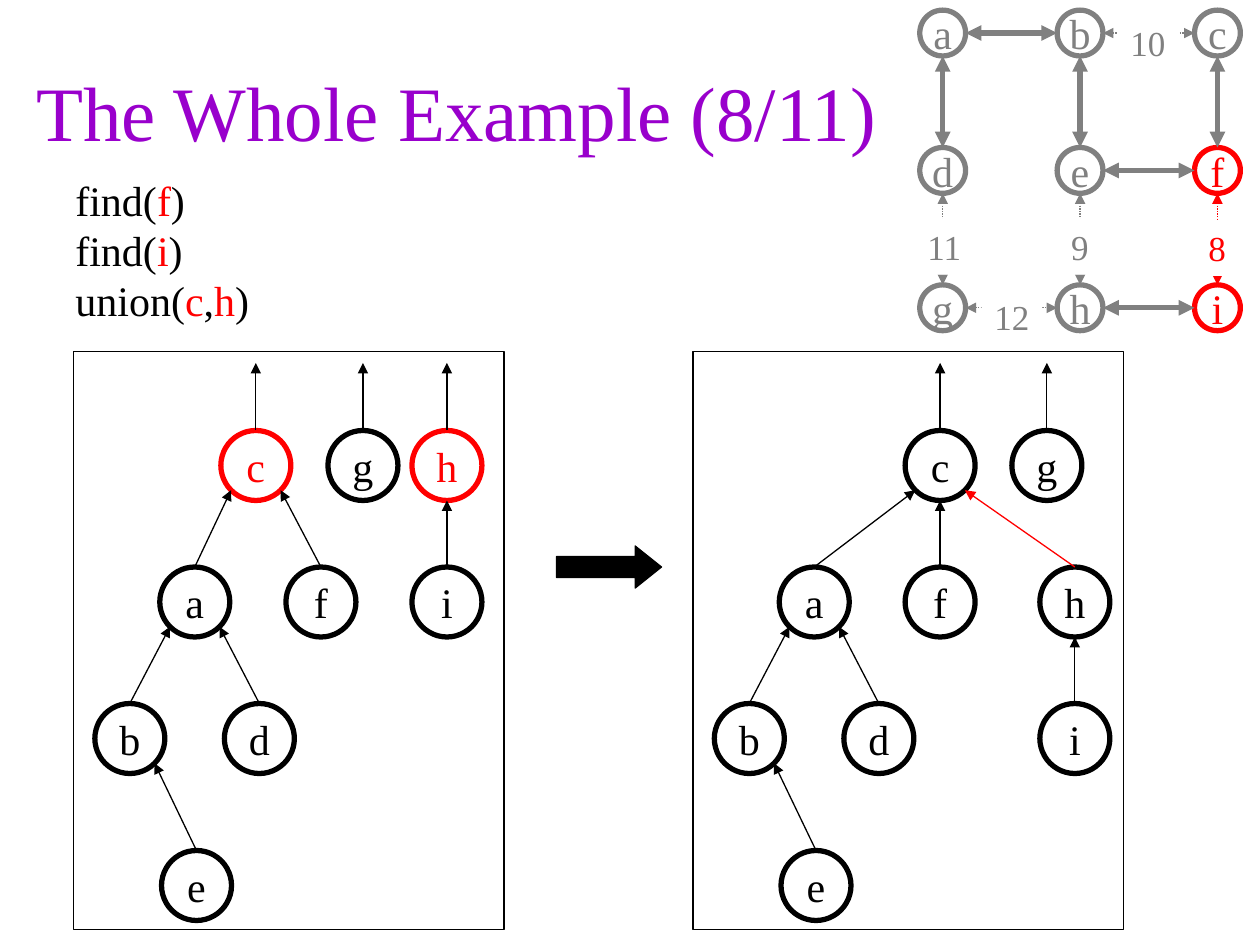
from lxml.etree import SubElement
from pptx import Presentation
from pptx.dml.color import RGBColor
from pptx.enum.dml import MSO_LINE
from pptx.enum.shapes import MSO_CONNECTOR, MSO_SHAPE
from pptx.enum.text import MSO_ANCHOR, PP_ALIGN
from pptx.oxml.ns import qn
from pptx.util import Pt

BLACK = RGBColor(0, 0, 0)
WHITE = RGBColor(255, 255, 255)
GRAY = RGBColor(128, 128, 128)
RED = RGBColor(255, 0, 0)
PURPLE = RGBColor(0x99, 0, 0xCC)

deck = Presentation()
deck.slide_width, deck.slide_height = Pt(720), Pt(540)
slide = deck.slides.add_slide(deck.slide_layouts[6])
shapes = slide.shapes


def put(text, x, y, w, h, kind=None, size=24, color=BLACK, fill=None,
        line=None, width=0.75, wrap=False, align=PP_ALIGN.CENTER,
        anchor=MSO_ANCHOR.MIDDLE):
    """Add a shape, or a text box if kind is None; parts between bars are red."""
    place = Pt(x), Pt(y), Pt(w), Pt(h)
    if kind is None:
        shape = shapes.add_textbox(*place)
    else:
        shape = shapes.add_shape(kind, *place)
        shape.shadow.inherit = False
        if fill is None:
            shape.fill.background()
        else:
            shape.fill.solid()
            shape.fill.fore_color.rgb = fill
        if line is None:
            shape.line.fill.background()
        else:
            shape.line.color.rgb = line
            shape.line.width = Pt(width)
    if not text:
        return shape
    frame = shape.text_frame
    frame.word_wrap = wrap
    frame.vertical_anchor = anchor
    for i, row in enumerate(text.split("\n")):
        para = frame.add_paragraph() if i else frame.paragraphs[0]
        para.alignment = align
        para.line_spacing = Pt(size * 1.2)
        for j, part in enumerate(row.split("|")):
            run = para.add_run()
            run.text = part
            run.font.name = "Times New Roman"
            run.font.size = Pt(size)
            run.font.color.rgb = RED if j % 2 else color
    return shape


def link(x1, y1, x2, y2, color=BLACK, width=0.75, dash=None, ends=("tailEnd",)):
    wire = shapes.add_connector(MSO_CONNECTOR.STRAIGHT, Pt(x1), Pt(y1), Pt(x2), Pt(y2))
    wire.line.color.rgb = color
    wire.line.width = Pt(width)
    if dash:
        wire.line.dash_style = dash
    props = wire.line._get_or_add_ln()
    for end in ends:
        SubElement(props, qn("a:" + end), type="triangle")
    SubElement(wire._element.spPr, qn("a:effectLst"))


put("The Whole Example (8/11)", 6, 18, 510, 90, size=44, color=PURPLE, wrap=True)
put("find(|f|)\nfind(|i|)\nunion(|c|,|h|)", 36, 96, 114, 94,
    align=PP_ALIGN.LEFT, anchor=MSO_ANCHOR.TOP)

# Maze: a grid of cells, whose closed walls are dotted
CELL, STEP = 26.2, 78.5
spots = {}
for i, name in enumerate("abcdefghi"):
    row, col = divmod(i, 3)
    x, y = spots[name] = 525.6 + col * STEP, 5.8 + row * STEP
    tint = RED if name in "fi" else GRAY
    put(name, x, y, CELL, CELL, MSO_SHAPE.OVAL, color=tint, line=tint, width=3)

solid = "ab ad be cf ef hi".split()
dotted = "bc dg eh fi gh".split()
for pair in solid + dotted:
    (x1, y1), (x2, y2) = spots[pair[0]], spots[pair[1]]
    half = CELL / 2
    if y1 == y2:
        ends = x1 + CELL, y1 + half, x2, y2 + half
    else:
        ends = x1 + half, y1 + CELL, x2 + half, y2
    thick = pair in solid
    link(*ends, color=RED if pair == "fi" else GRAY, width=3 if thick else 0.75,
         dash=None if thick else MSO_LINE.ROUND_DOT, ends=("headEnd", "tailEnd"))

for text, x, y, w in [("11", 522, 125.3, 35.3), ("10", 638.6, 8.6, 34.6),
                      ("9", 596.2, 125.3, 41.8), ("8", 684.7, 126, 21.6),
                      ("12", 560.9, 165.6, 34.6)]:
    put(text, x, y, w, 31.7, MSO_SHAPE.RECTANGLE, size=20, fill=WHITE,
        color=RED if text == "8" else GRAY, anchor=MSO_ANCHOR.TOP)

arrow = put("", 318, 312, 60, 24, MSO_SHAPE.RIGHT_ARROW, fill=BLACK, line=BLACK)
arrow.adjustments[0], arrow.adjustments[1] = 0.5, 0.625

# Forests: name -> (x in panel, row, parent)
NODE, DIAG = 40, 14.14
ROWS = 246, 324, 402, 486
both = {"a": (49.3, 1, "c"), "b": (12.2, 2, "a"), "d": (86.2, 2, "a"),
        "e": (50.3, 3, "b")}
before = {"c": (84.2, 0, ""), "g": (145.4, 0, ""), "h": (193.4, 0, ""),
          "f": (121.4, 1, "c"), "i": (193.4, 1, "h"), **both}
after = {"c": (121.2, 0, ""), "g": (182.2, 0, ""), "f": (121.2, 1, "c"),
         "h": (198.2, 1, "c"), "i": (198.2, 2, "h"), **both}

for left, tree, rings, wires in [(42, before, "ch", ""), (396, after, "", "h")]:
    put("", left, 201, 246, 330, MSO_SHAPE.RECTANGLE, fill=WHITE, line=BLACK)
    for name, (x, row, parent) in tree.items():
        tint = RED if name in rings else BLACK
        top = ROWS[row]
        put(name, left + x, top, NODE, NODE, MSO_SHAPE.OVAL, color=tint, line=tint, width=3)
        mid = left + x + NODE / 2
        tip, end = mid, top - 38.6
        if parent:
            px, prow, _ = tree[parent]
            tip, end = left + px + NODE / 2, ROWS[prow] + NODE
            if px != x:
                tip += DIAG if x > px else -DIAG
                end += DIAG - NODE / 2
        link(mid, top, tip, end, color=RED if name in wires else BLACK)

deck.save("out.pptx")
